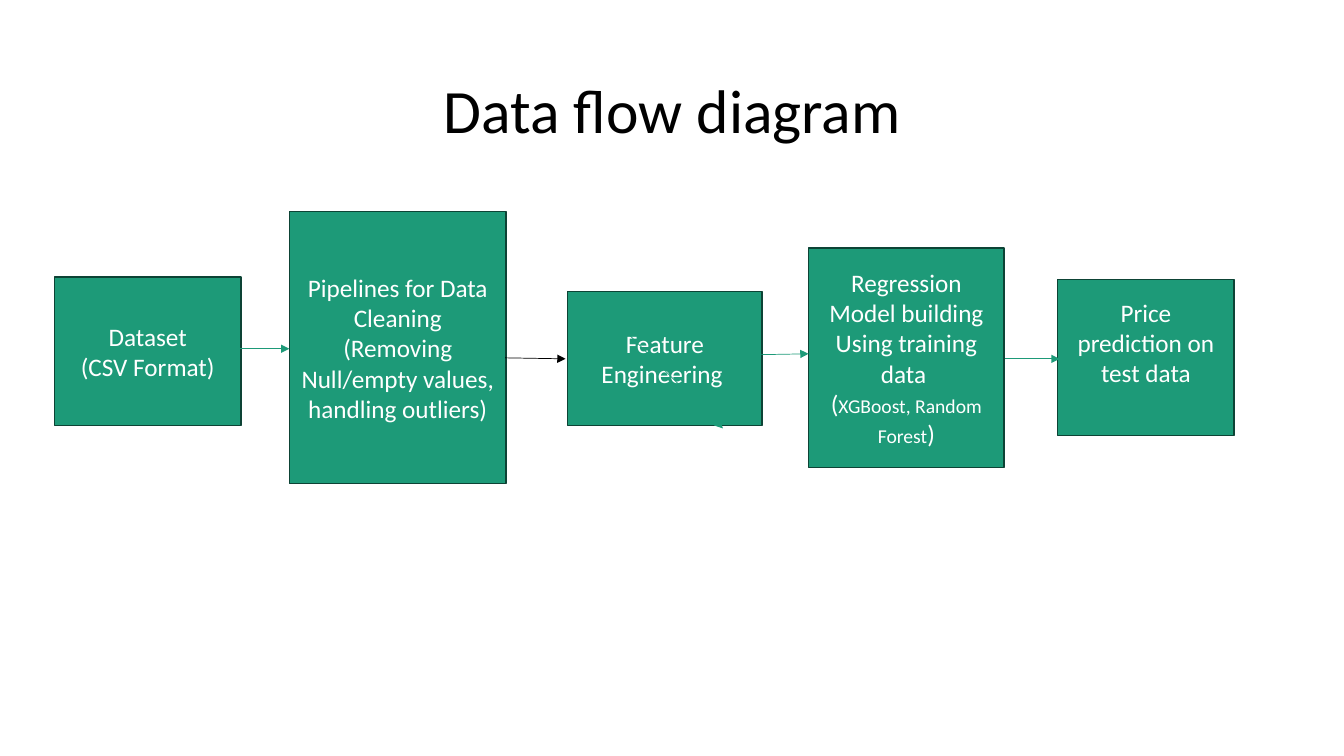
from lxml.etree import SubElement
from pptx import Presentation
from pptx.dml.color import RGBColor
from pptx.enum.shapes import MSO_CONNECTOR as Connector, MSO_SHAPE as Shape
from pptx.enum.text import MSO_ANCHOR as Anchor, PP_ALIGN as Align
from pptx.oxml.ns import qn
from pptx.util import Pt

PX = 9144
FONT = "Calibri"
GREEN = RGBColor(0x1D, 0x9A, 0x78)
DARK_GREEN = RGBColor(0x0D, 0x43, 0x35)
BLACK = RGBColor(0, 0, 0)
WHITE = RGBColor(255, 255, 255)

SLIDE_SIZE = (1333, 750)
TITLE = "Data flow diagram"
TITLE_BOX = (92, 40, 1150, 145)
BODY_SIZE, SMALL_SIZE, TITLE_SIZE = 18, 14, 44
INSET = 5
TEXT_LINE = 30

STAGES = [
    {"box": (54, 275, 185, 147), "raised_lines": 0,
     "text": [[("Dataset", BODY_SIZE)], [("(CSV Format)", BODY_SIZE)]]},
    {"box": (287, 210, 215, 270), "raised_lines": 0,
     "text": [[("Pipelines for Data Cleaning", BODY_SIZE)],
              [("(Removing Null/empty values, handling outliers)", BODY_SIZE)]]},
    {"box": (563, 289, 193, 133), "raised_lines": 0,
     "text": [[("Feature Engineering ", BODY_SIZE)]]},
    {"box": (802, 246, 194, 218), "raised_lines": 0,
     "text": [[("Regression Model building Using training data ", BODY_SIZE)],
              [("(", BODY_SIZE), ("XGBoost, Random Forest", SMALL_SIZE), (")", BODY_SIZE)]]},
    {"box": (1049, 277, 175, 155), "raised_lines": 1,
     "text": [[("Price prediction on test data", BODY_SIZE)]]},
]

ARROWS = [
    ((617, 325), (717, 425), GREEN),
    ((997, 356), (1051, 356), GREEN),
    ((501, 355), (561, 356), BLACK),
    ((238, 346), (287, 346), GREEN),
    ((747, 352), (802, 351), GREEN),
]


def emu(lengths):
    return [length * PX for length in lengths]


def apply_format(target, values):
    for name, value in values.items():
        setattr(target, name, value)


def write_text(shape, paragraphs, color, raised_lines=0, line_spacing=1.0):
    frame = shape.text_frame
    apply_format(frame, {
        "word_wrap": True,
        "vertical_anchor": Anchor.MIDDLE,
        "margin_bottom": (INSET + raised_lines * TEXT_LINE) * PX,
    })
    for index, runs in enumerate(paragraphs):
        paragraph = frame.add_paragraph() if index else frame.paragraphs[0]
        apply_format(paragraph, {"alignment": Align.CENTER, "line_spacing": line_spacing})
        for text, size in runs:
            run = paragraph.add_run()
            run.text = text
            apply_format(run.font, {"name": FONT, "size": Pt(size)})
            run.font.color.rgb = color


def add_stage(slide, stage):
    shape = slide.shapes.add_shape(Shape.RECTANGLE, *emu(stage["box"]))
    shape.shadow.inherit = False
    shape.fill.solid()
    shape.fill.fore_color.rgb = GREEN
    shape.line.color.rgb = DARK_GREEN
    shape.line.width = Pt(1)
    write_text(shape, stage["text"], WHITE, stage["raised_lines"])


def add_arrow(slide, start, end, color):
    arrow = slide.shapes.add_connector(Connector.STRAIGHT, *emu(start + end))
    arrow.line.color.rgb = color
    arrow.line.width = Pt(0.5)
    properties = arrow._element.spPr
    SubElement(properties.find(qn("a:ln")), qn("a:tailEnd"), type="triangle")
    SubElement(properties, qn("a:effectLst"))


def main():
    presentation = Presentation()
    presentation.slide_width, presentation.slide_height = emu(SLIDE_SIZE)
    slide = presentation.slides.add_slide(presentation.slide_layouts[6])
    title = slide.shapes.add_textbox(*emu(TITLE_BOX))
    write_text(title, [[(TITLE, TITLE_SIZE)]], BLACK, line_spacing=0.9)
    for stage in STAGES:
        add_stage(slide, stage)
    for start, end, color in ARROWS:
        add_arrow(slide, start, end, color)
    presentation.save("out.pptx")


if __name__ == "__main__":
    main()
